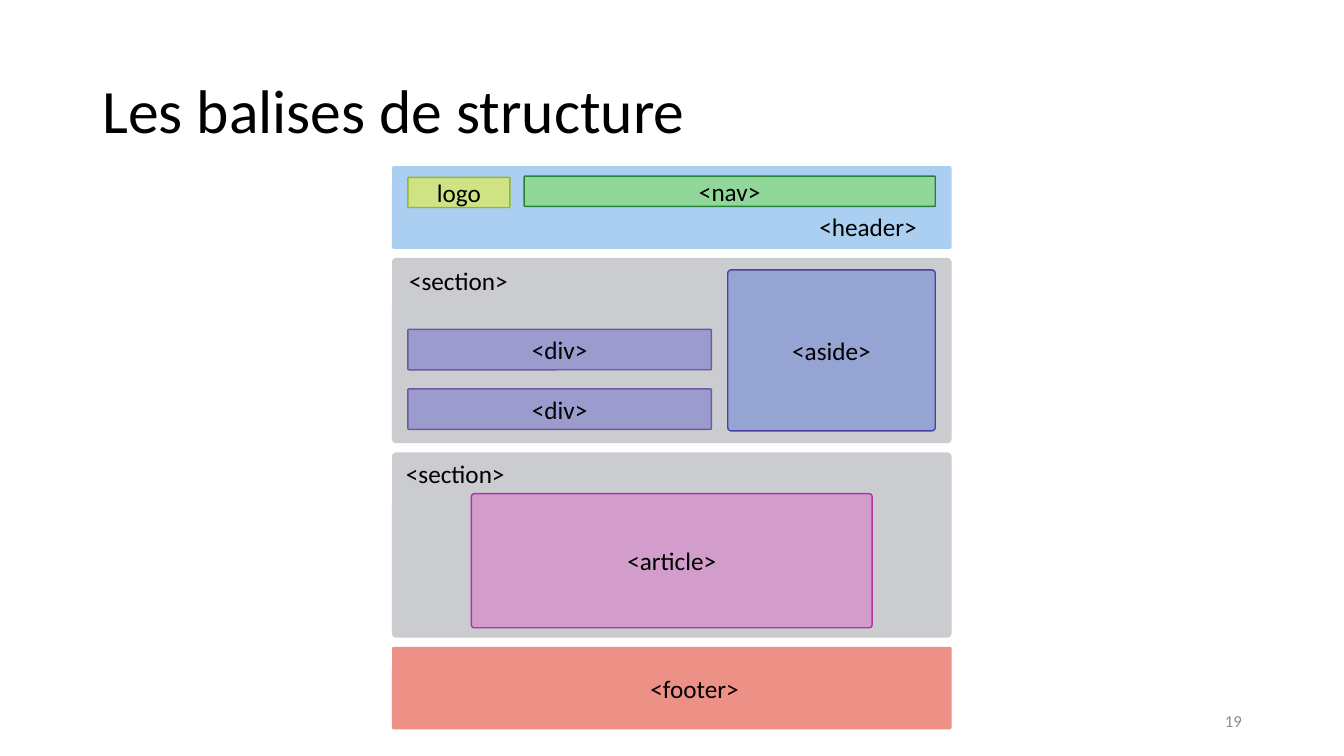
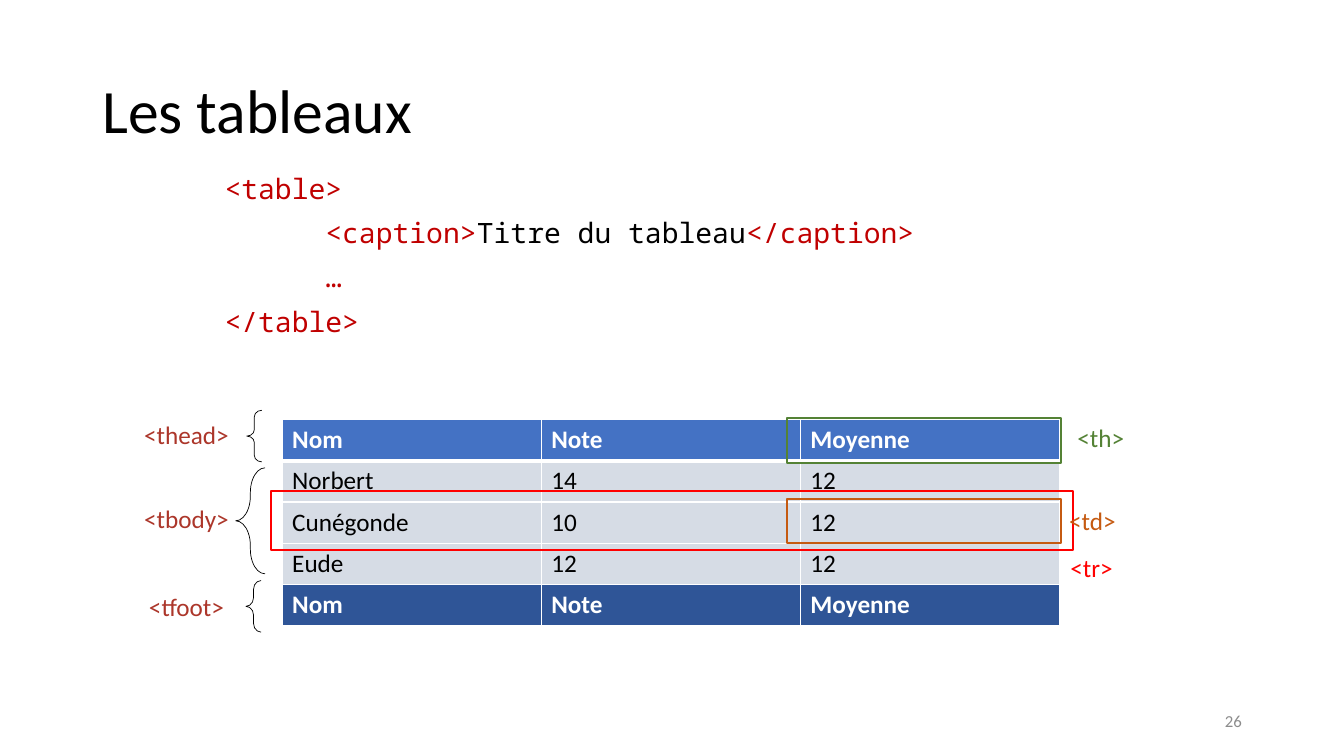
import pptx
import pptx.dml.color
import pptx.enum.shapes
import pptx.enum.text
import pptx.oxml
import pptx.oxml.ns
import pptx.util
from pptx.util import Cm

COLORS = {
    "text": "000000", "white": "FFFFFF", "number": "8C8C8C",
    "header": "AACFF0", "section": "CBCCCF", "footer": "ED9187",
    "nav": "91D799", "nav_line": "248434", "logo": "CFE385", "logo_line": "95B826",
    "aside": "95A4D3", "aside_line": "4C40A6", "div": "9B9CCD", "div_line": "7158A2",
    "article": "D39DCB", "article_line": "B032AA",
    "code": "C00000", "group_tag": "AC362A", "tr": "FF0000", "td": "C55A11", "th": "548235",
    "table_head": "4472C4", "table_body": "D6DCE5", "table_foot": "2F5597",
}
FONT = "Calibri"
CODE_FONT = "Noto Sans Mono"
LABEL_HEIGHT = 1.02
SHAPE = pptx.enum.shapes.MSO_SHAPE
ALIGN = pptx.enum.text.PP_ALIGN
ANCHOR = pptx.enum.text.MSO_ANCHOR


def rgb(name):
    return pptx.dml.color.RGBColor.from_string(COLORS[name])


def format_run(run, size, color="text", font=FONT, bold=False):
    run.font.size = pptx.util.Pt(size)
    run.font.name = font
    run.font.bold = bold
    run.font.color.rgb = rgb(color)


def write(frame, text, size=18, color="text", align=ALIGN.LEFT, anchor=ANCHOR.TOP):
    """Put one formatted paragraph into a text frame and return the paragraph."""
    frame.text = text
    frame.word_wrap = True
    frame.vertical_anchor = anchor
    paragraph = frame.paragraphs[0]
    paragraph.alignment = align
    format_run(paragraph.runs[0], size, color)
    return paragraph


def add_text(shapes, box, text, **style):
    text_box = shapes.add_textbox(*map(Cm, box))
    return write(text_box.text_frame, text, **style)


def add_shape(shapes, kind, box, fill=None, line=None, line_width=1, adjustment=None):
    shape = shapes.add_shape(kind, *map(Cm, box))
    shape.shadow.inherit = False
    if fill:
        shape.fill.solid()
        shape.fill.fore_color.rgb = rgb(fill)
    else:
        shape.fill.background()
    if line:
        shape.line.color.rgb = rgb(line)
        shape.line.width = pptx.util.Pt(line_width)
    else:
        shape.line.fill.background()
    if adjustment is not None:
        shape.adjustments[0] = adjustment
    return shape


def add_slide(presentation, title, number):
    slide = presentation.slides.add_slide(presentation.slide_layouts[6])
    heading = add_text(slide.shapes, (2.33, 1.02, 29.21, 3.68), title, size=44, anchor=ANCHOR.MIDDLE)
    heading.line_spacing = 0.9
    add_text(slide.shapes, (23.93, 17.65, 7.62, 1.02), number, size=12, color="number",
             align=ALIGN.RIGHT, anchor=ANCHOR.MIDDLE)
    return slide


def add_page_block(shapes, box, fill, label, label_box, label_align, children):
    """Draw a page region; label and children are placed relative to its corner."""
    left, top = box[:2]
    add_shape(shapes, SHAPE.ROUNDED_RECTANGLE, box, fill, adjustment=0.022)
    x, y, width = label_box
    add_text(shapes, (left + x, top + y, width, LABEL_HEIGHT), label, align=label_align)
    for text, color, (x, y, width, height) in children:
        child = add_shape(shapes, SHAPE.ROUNDED_RECTANGLE, (left + x, top + y, width, height),
                          color, color + "_line", adjustment=0.022)
        write(child.text_frame, text, align=ALIGN.CENTER, anchor=ANCHOR.MIDDLE)


def add_page_layout(slide, left, top, width):
    """Stack the regions of a web page from top to bottom with equal gaps."""
    gap, band_height, section_height = 0.23, 2.08, 4.67
    blocks = [
        (band_height, "header", "<header>", (10.52, 1.02, 3.18), ALIGN.LEFT, [
            ("logo", "logo", (0.4, 0.28, 2.57, 0.76)),
            ("<nav>", "nav", (3.33, 0.25, 10.36, 0.76))]),
        (section_height, "section", "<section>", (0.18, 0.05, 3.18), ALIGN.LEFT, [
            ("<div>", "div", (0.4, 1.8, 7.65, 1.02)),
            ("<div>", "div", (0.4, 3.3, 7.65, 1.02)),
            ("<aside>", "aside", (8.46, 0.3, 5.23, 4.06))]),
        (section_height, "section", "<section>", (0.1, 0.03, 3.18), ALIGN.LEFT, [
            ("<article>", "article", (2, 1.04, 10.1, 3.38))]),
        (band_height, "footer", "<footer>", (6.15, 0.53, 2.95), ALIGN.CENTER, []),
    ]
    group = slide.shapes.add_group_shape()
    for height, *content in blocks:
        add_page_block(group.shapes, (left, top, width, height), *content)
        top += height + gap


def add_code(slide, box):
    """Each line is an indent in cm and a list of (text, colour) runs."""
    lines = [
        (0, [("<table>", "code")]),
        (2.54, [("<caption>", "code"), ("Titre du tableau", "text"), ("</caption>", "code")]),
        (2.54, [("…", "code")]),
        (0, [("</table>", "code")]),
    ]
    frame = slide.shapes.add_textbox(*map(Cm, box)).text_frame
    frame.word_wrap = True
    for index, (indent, pieces) in enumerate(lines):
        paragraph = frame.add_paragraph() if index else frame.paragraphs[0]
        paragraph.line_spacing = 0.9
        paragraph.space_before = pptx.util.Pt(10)
        properties = paragraph._p.get_or_add_pPr()
        properties.set("marL", str(int(Cm(indent))))
        properties.set("indent", "0")
        for text, color in pieces:
            run = paragraph.add_run()
            run.text = text
            format_run(run, 20, color, CODE_FONT)


def set_borders(cell, top_width, bottom_width):
    properties = cell._tc.get_or_add_tcPr()
    for side, points in zip("LRTB", (1, 1, top_width, bottom_width)):
        properties.append(pptx.oxml.parse_xml(
            f'<a:ln{side} {pptx.oxml.ns.nsdecls("a")} w="{int(pptx.util.Pt(points))}">'
            f'<a:solidFill><a:srgbClr val="{COLORS["white"]}"/></a:solidFill></a:ln{side}>'))


def add_grades_table(slide, left, top, column_width, row_height):
    titles = ("Nom", "Note", "Moyenne")
    rows = [titles, ("Norbert", "14", "12"), ("Cunégonde", "10", "12"), ("Eude", "12", "12"), titles]
    fills = ["table_head"] + ["table_body"] * 3 + ["table_foot"]
    table = slide.shapes.add_table(len(rows), len(titles), Cm(left), Cm(top),
                                   Cm(column_width * len(titles)), Cm(row_height * len(rows))).table
    for column in table.columns:
        column.width = Cm(column_width)
    for row_index, (values, fill) in enumerate(zip(rows, fills)):
        table.rows[row_index].height = Cm(row_height)
        is_title = values is titles
        for column_index, value in enumerate(values):
            cell = table.cell(row_index, column_index)
            set_borders(cell, 3 if row_index == 1 else 1, 3 if row_index == 0 else 1)
            cell.fill.solid()
            cell.fill.fore_color.rgb = rgb(fill)
            cell.text_frame.text = value
            format_run(cell.text_frame.paragraphs[0].runs[0], 18,
                       "white" if is_title else "text", bold=is_title)


def add_table_tags(slide, left, top):
    """Mark the parts of the table whose top left corner is given."""
    frames = [
        ("tr", (-0.28, 1.8, 20.22, 1.5)),
        ("td", (12.73, 2, 6.91, 1.12)),
        ("th", (12.73, -0.03, 6.91, 1.12)),
    ]
    braces = [
        (0.43, (-0.89, -0.23, 0.38, 1.3)),
        (0.84, (-1.17, 1.22, 0.74, 2.67)),
        (0.58, (-0.91, 4.06, 0.38, 1.3)),
    ]
    labels = [
        ("<thead>", "group_tag", (-3.83, -0.13, 2.84)),
        ("<tbody>", "group_tag", (-3.83, 2, 2.84)),
        ("<tfoot>", "group_tag", (-3.83, 4.21, 2.84)),
        ("<tr>", "tr", (18.98, 3.22, 2.84)),
        ("<th>", "th", (19.64, -0.05, 1.98)),
        ("<td>", "td", (19, 2.03, 2.84)),
    ]
    for color, (x, y, width, height) in frames:
        add_shape(slide.shapes, SHAPE.RECTANGLE, (left + x, top + y, width, height),
                  line=color, line_width=1.5)
    for curve, (x, y, width, height) in braces:
        add_shape(slide.shapes, SHAPE.LEFT_BRACE, (left + x, top + y, width, height),
                  line="text", line_width=0.5, adjustment=curve)
    for text, color, (x, y, width) in labels:
        add_text(slide.shapes, (left + x, top + y, width, LABEL_HEIGHT), text,
                 color=color, align=ALIGN.CENTER)


def add_structure_slide(presentation):
    slide = add_slide(presentation, "Les balises de structure", "19")
    add_page_layout(slide, 9.88, 4.19, 14.1)


def add_tables_slide(presentation):
    slide = add_slide(presentation, "Les tableaux", "26")
    table_left, table_top = 7.11, 10.57
    add_grades_table(slide, table_left, table_top, 6.53, 1.04)
    add_table_tags(slide, table_left, table_top)
    add_code(slide, (5.41, 4.29, 20.68, 4.39))


def main():
    presentation = pptx.Presentation()
    presentation.slide_width = Cm(33.87)
    presentation.slide_height = Cm(19.05)
    add_structure_slide(presentation)
    add_tables_slide(presentation)
    presentation.save("out.pptx")


if __name__ == "__main__":
    main()
